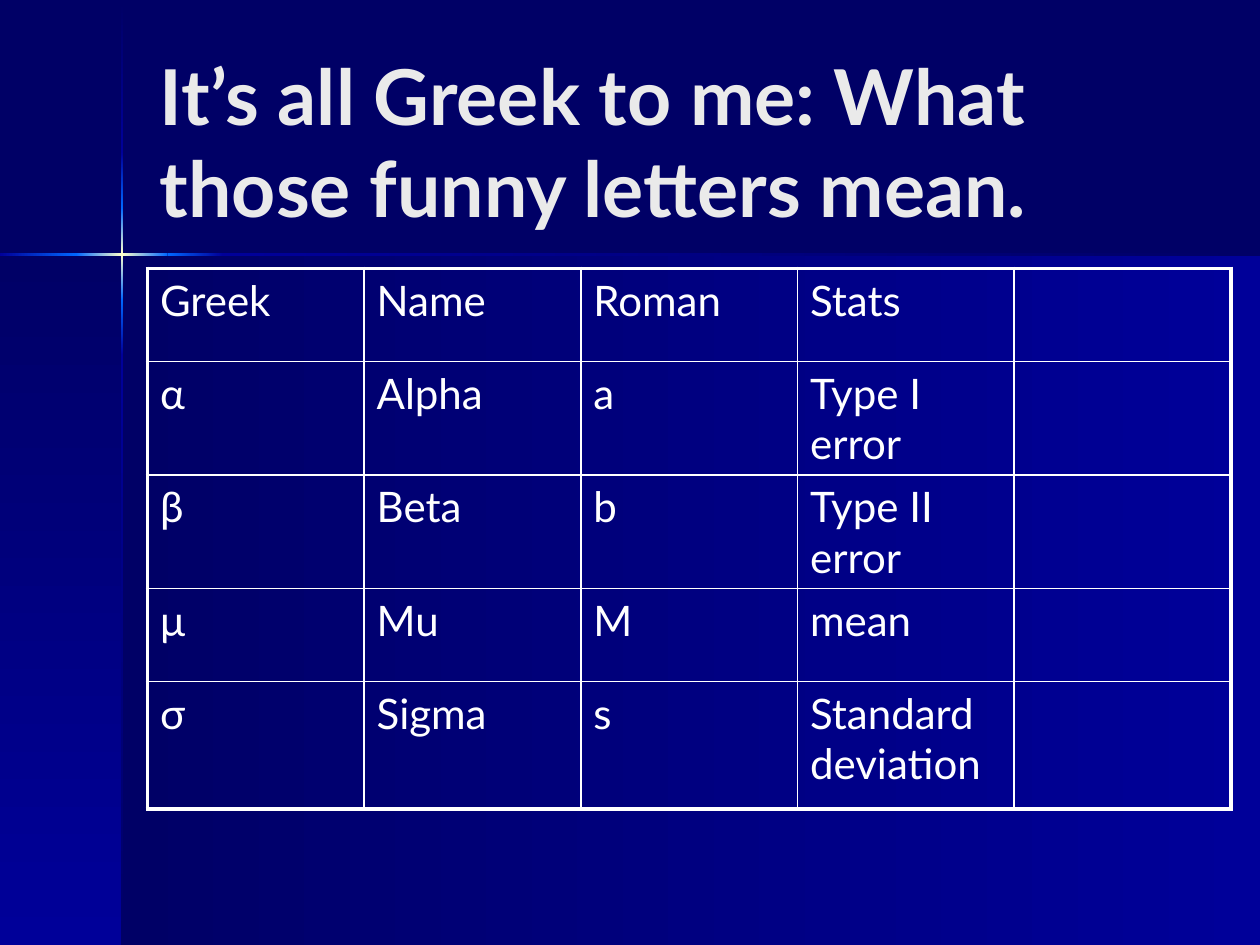
from copy import deepcopy
from dataclasses import dataclass
from itertools import pairwise

from pptx import Presentation, util as u
from pptx.dml import color
from pptx.enum import shapes, text
from pptx.oxml import ns, xmlchemy

WIDTH, HEIGHT = u.Inches(10), u.Inches(7.5)
FONT = "Lato"
COLORS = {
    "night": "000066",
    "blue": "000099",
    "sky": "0066FF",
    "glow": "FFFFCC",
    "title": "EAEAEA",
    "white": "FFFFFF",
}
ACROSS, DOWN = 0, 270

# Bounds are percentages of the slide's width and height.
RAMPS = [
    ("night", "blue"),
    ("blue", "sky"),
    ("sky", "glow", "sky"),
    ("sky", "blue"),
    ("blue", "night"),
]
VERTICAL_STOPS = [0.13, 16.13, 22, 31.73, 37.6, 100]
HORIZONTAL_STOPS = [0, 6.05, 13.3, 17.7, 100]

TITLE = "It’s all Greek to me: What those funny letters mean."
TITLE_FORMAT = {"name": FONT, "size": u.Pt(44), "bold": True}
CELL_FORMAT = {"name": FONT, "size": u.Pt(24)}
ROWS = [
    ("Greek", "Name", "Roman", "Stats", ""),
    ("α", "Alpha", "a", "Type I error", ""),
    ("β", "Beta", "b", "Type II error", ""),
    ("μ", "Mu", "M", "mean", ""),
    ("σ", "Sigma", "s", "Standard deviation", ""),
]
ROW_HEIGHTS = [0.74, 0.9, 0.9, 0.74, 1.01]
COLUMN_WIDTH = 1.72
OUTER_LINE, INNER_LINE = 2.25, 1


@dataclass
class Panel:
    left: float
    top: float
    right: float
    bottom: float
    ramp: tuple[str, ...]
    angle: int


def rgb(name: str) -> color.RGBColor:
    return color.RGBColor.from_string(COLORS[name])


def draw_panel(slide, panel: Panel) -> None:
    shape = slide.shapes.add_shape(
        shapes.MSO_SHAPE.RECTANGLE,
        round(WIDTH * panel.left / 100),
        round(HEIGHT * panel.top / 100),
        round(WIDTH * (panel.right - panel.left) / 100),
        round(HEIGHT * (panel.bottom - panel.top) / 100),
    )
    shape.shadow.inherit = False
    shape.line.fill.background()
    shape.fill.gradient()
    shape.fill.gradient_angle = panel.angle
    stop_list = shape._element.spPr.find(".//" + ns.qn("a:gsLst"))
    while len(stop_list) < len(panel.ramp):
        stop_list.append(deepcopy(stop_list[0]))
    for index, (stop, name) in enumerate(zip(shape.fill.gradient_stops, panel.ramp)):
        stop.position = index / (len(panel.ramp) - 1)
        stop.color.rgb = rgb(name)


def draw_backdrop(slide) -> None:
    panels = [
        Panel(9.7, 26.93, 100, 100, RAMPS[0], ACROSS),
        Panel(0, 26.93, 9.7, 100, RAMPS[0], DOWN),
    ]
    panels += [
        Panel(9.6, top, 9.8, bottom, ramp, DOWN)
        for (top, bottom), ramp in zip(pairwise(VERTICAL_STOPS), RAMPS)
    ]
    panels += [
        Panel(left, 26.8, right, 27.07, ramp, ACROSS)
        for (left, right), ramp in zip(pairwise(HORIZONTAL_STOPS), RAMPS[1:])
    ]
    for panel in panels:
        draw_panel(slide, panel)


def write(paragraph, wording: str, color_name: str, font_format: dict) -> None:
    run = paragraph.add_run()
    run.text = wording
    run.font.color.rgb = rgb(color_name)
    for attribute, value in font_format.items():
        setattr(run.font, attribute, value)


def draw_title(slide) -> None:
    box = slide.shapes.add_textbox(
        u.Inches(1.17), u.Inches(0.33), u.Inches(8.25), u.Inches(1.57)
    )
    frame = box.text_frame
    frame.word_wrap = True
    frame.vertical_anchor = text.MSO_ANCHOR.MIDDLE
    write(frame.paragraphs[0], TITLE, "title", TITLE_FORMAT)


def add_child(parent, tag: str, **attributes: str):
    child = xmlchemy.OxmlElement(tag)
    for name, value in attributes.items():
        child.set(name, value)
    parent.append(child)
    return child


def space_before(paragraph, percent: int) -> None:
    """Set the gap above as a share of the line, which has no public method."""
    spacing = add_child(paragraph._p.get_or_add_pPr(), "a:spcBef")
    add_child(spacing, "a:spcPct", val=str(percent * 1000))


def set_borders(cell, outer_edges: dict[str, bool]) -> None:
    properties = cell._tc.get_or_add_tcPr()
    for edge, is_outer in outer_edges.items():
        width = u.Pt(OUTER_LINE if is_outer else INNER_LINE)
        line = add_child(properties, f"a:ln{edge}", w=str(width))
        fill = add_child(line, "a:solidFill")
        add_child(fill, "a:srgbClr", val=COLORS["white"])


def draw_table(slide) -> None:
    last_row, last_column = len(ROWS) - 1, len(ROWS[0]) - 1
    table = slide.shapes.add_table(
        len(ROWS),
        len(ROWS[0]),
        u.Inches(1.17),
        u.Inches(2.13),
        u.Inches(COLUMN_WIDTH * len(ROWS[0])),
        u.Inches(sum(ROW_HEIGHTS)),
    ).table
    table.first_row = table.horz_banding = False
    for column in table.columns:
        column.width = u.Inches(COLUMN_WIDTH)
    for i, (wordings, height) in enumerate(zip(ROWS, ROW_HEIGHTS)):
        table.rows[i].height = u.Inches(height)
        for j, wording in enumerate(wordings):
            cell = table.cell(i, j)
            set_borders(
                cell,
                {"L": j == 0, "R": j == last_column, "T": i == 0, "B": i == last_row},
            )
            cell.fill.background()
            if wording:
                paragraph = cell.text_frame.paragraphs[0]
                space_before(paragraph, 20)
                write(paragraph, wording, "white", CELL_FORMAT)


def main() -> None:
    presentation = Presentation()
    presentation.slide_width, presentation.slide_height = WIDTH, HEIGHT
    slide = presentation.slides.add_slide(presentation.slide_layouts[6])
    slide.background.fill.solid()
    slide.background.fill.fore_color.rgb = rgb("night")
    draw_backdrop(slide)
    draw_title(slide)
    draw_table(slide)
    presentation.save("out.pptx")


if __name__ == "__main__":
    main()
